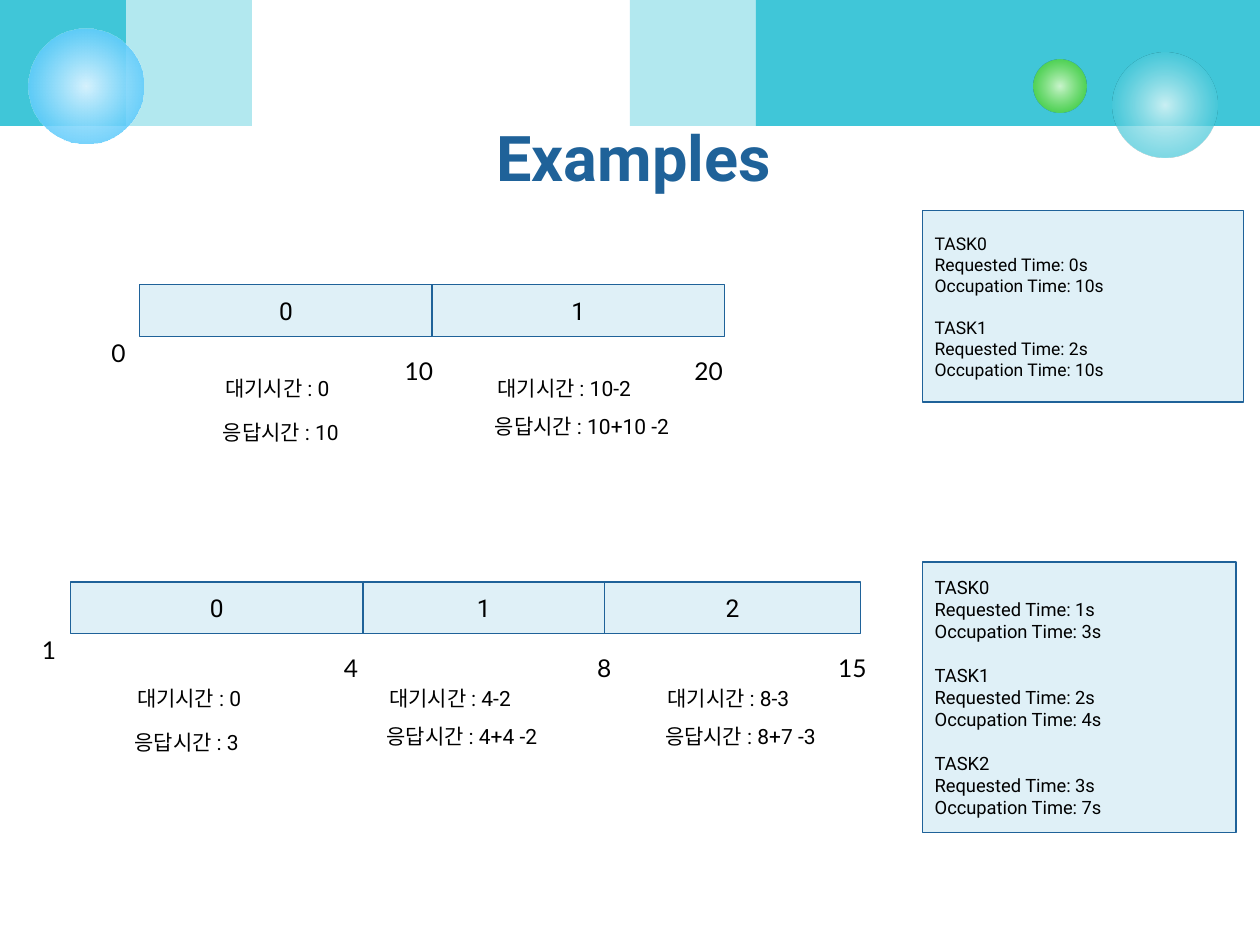
from lxml import etree
from pptx import Presentation
from pptx.dml.color import RGBColor
from pptx.enum.shapes import MSO_SHAPE
from pptx.enum.text import MSO_ANCHOR, MSO_AUTO_SIZE, PP_ALIGN
from pptx.oxml.ns import qn
from pptx.util import Inches, Pt

RECTANGLE, OVAL = MSO_SHAPE.RECTANGLE, MSO_SHAPE.OVAL
LEFT, CENTER = PP_ALIGN.LEFT, PP_ALIGN.CENTER
TOP, MIDDLE = MSO_ANCHOR.TOP, MSO_ANCHOR.MIDDLE
FIT_SHAPE = MSO_AUTO_SIZE.SHAPE_TO_FIT_TEXT

COLORS = {
    "wave": "40C6D8", "title": "1F6299", "line": "1F6299", "box": "DFF0F7", "text": "000000",
    "aqua": "D9F4F7", "lime": "DAFACD", "green": "4CD416", "sky": "D6F2FE", "blue": "33BDFB",
}
COLUMNS, ROWS = 10, 7.5
CURVE_STEPS = 30
BAR_HEIGHT = 0.41
MARK_HEIGHT = 0.28
NOTE_HEIGHT = 0.3

WAVES = [
    (40, (0, 1.19), [
        ((0.33, 1.05), (1.97, 0.31), (3.96, 0.41)),
        ((5.95, 0.5), (7.62, 1.4), (10, 0.84)),
    ]),
    (100, (0, 0.7), [
        ((0.45, 0.55), (1.53, 0.33), (3.41, 0.29)),
        ((5.29, 0.25), (8.2, 1.19), (10, 0.5)),
    ]),
]
BUBBLES = [
    (8.83, 0.42, 0.83, [(0, "aqua", 90), (76, "wave", 70)]),
    (8.2, 0.47, 0.42, [(0, "lime", 90), (76, "green", 70)]),
    (0.23, 0.23, 0.91, [(0, "sky", 100), (100, "blue", 80)]),
]
TIMELINES = [
    {
        "left": 1.11, "top": 2.26, "start": "0", "note_drop": 0.67,
        "tasks": [
            {"width": 2.32, "end": "10", "end_left": 3.04, "note_left": 1.69,
             "notes": [("대기시간 : 0", 1.13), ("응답시간 : 10", 1.22)]},
            {"width": 2.32, "end": "20", "end_left": 5.34, "note_left": 3.85,
             "notes": [("대기시간 : 10-2", 1.37), ("응답시간 : 10+10 -2", 1.73)]},
        ],
    },
    {
        "left": 0.56, "top": 4.62, "start": "1", "note_drop": 0.77,
        "tasks": [
            {"width": 2.32, "end": "4", "end_left": 2.5, "note_left": 0.99,
             "notes": [("대기시간 : 0", 1.13), ("응답시간 : 3", 1.13)]},
            {"width": 1.92, "end": "8", "end_left": 4.51, "note_left": 2.99,
             "notes": [("대기시간 : 4-2", 1.28), ("응답시간 : 4+4 -2", 1.55)]},
            {"width": 2.03, "end": "15", "end_left": 6.48, "note_left": 5.2,
             "notes": [("대기시간 : 8-3", 1.28), ("응답시간 : 8+7 -3", 1.55)]},
        ],
    },
]
TASK_LISTS = [
    ((7.32, 1.67, 2.55, 1.52), 10, [(0, 10), (2, 10)]),
    ((7.32, 4.46, 2.49, 2.15), 10.5, [(1, 3), (2, 4), (3, 7)]),
]

presentation = Presentation()
presentation.slide_width, presentation.slide_height = Inches(10), Inches(7.5)
slide = presentation.slides.add_slide(presentation.slide_layouts[6])
column = presentation.slide_width / COLUMNS
row = presentation.slide_height / ROWS


def grid(left, top, width, height):
    return [round(value) for value in (left * column, top * row, width * column, height * row)]


def color(name):
    return RGBColor.from_string(COLORS[name])


def add_alpha(color_element, percent):
    etree.SubElement(color_element, qn("a:alpha"), val=str(percent * 1000))


def curve_points(start, segments):
    points = [start]
    for first, second, end in segments:
        for step in range(1, CURVE_STEPS + 1):
            t = step / CURVE_STEPS
            weights = ((1 - t) ** 3, 3 * t * (1 - t) ** 2, 3 * t ** 2 * (1 - t), t ** 3)
            controls = (start, first, second, end)
            points.append(tuple(sum(w * p[axis] for w, p in zip(weights, controls)) for axis in (0, 1)))
        start = end
    return points


def add_wave(opacity, start, segments):
    builder = slide.shapes.build_freeform(0, 0, scale=column)
    builder.add_line_segments(curve_points(start, segments) + [(COLUMNS, 0)], close=True)
    wave = builder.convert_to_shape()
    wave.shadow.inherit = False
    wave.line.fill.background()
    wave.fill.solid()
    wave.fill.fore_color.rgb = color("wave")
    add_alpha(next(wave.element.spPr.iter(qn("a:srgbClr"))), opacity)


def add_bubble(left, top, size, stops):
    bubble = slide.shapes.add_shape(OVAL, *grid(left, top, size, size))
    bubble.shadow.inherit = False
    bubble.line.fill.background()
    bubble.fill.background()
    gradient = etree.Element(qn("a:gradFill"), rotWithShape="1")
    stop_list = etree.SubElement(gradient, qn("a:gsLst"))
    for position, name, opacity in stops:
        stop = etree.SubElement(stop_list, qn("a:gs"), pos=str(position * 1000))
        add_alpha(etree.SubElement(stop, qn("a:srgbClr"), val=COLORS[name]), opacity)
    circle = etree.SubElement(gradient, qn("a:path"), path="circle")
    etree.SubElement(circle, qn("a:fillToRect"), l="50000", t="50000", r="50000", b="50000")
    properties = bubble.element.spPr
    properties.replace(properties.find(qn("a:noFill")), gradient)


def write(shape, text, size, font="Roboto", name="text", align=CENTER, anchor=MIDDLE, bold=False):
    frame = shape.text_frame
    frame.text = text
    frame.word_wrap = True
    frame.vertical_anchor = anchor
    for paragraph in frame.paragraphs:
        paragraph.alignment = align
        for run in paragraph.runs:
            run.font.size, run.font.name, run.font.bold = Pt(size), font, bold
            run.font.color.rgb = color(name)
    return frame


def add_text(box, text, size, **style):
    return write(slide.shapes.add_textbox(*grid(*box)), text, size, **style)


def add_box(box, text, size, **style):
    shape = slide.shapes.add_shape(RECTANGLE, *grid(*box))
    shape.shadow.inherit = False
    shape.fill.solid()
    shape.fill.fore_color.rgb = color("box")
    shape.line.color.rgb = color("line")
    shape.line.width = Pt(0.75)
    return pad(write(shape, text, size, **style))


def pad(frame):
    frame.margin_left = frame.margin_right = frame.margin_top = frame.margin_bottom = Inches(0.1)
    return frame


def add_mark(left, top, width, text):
    pad(add_text((left, top, width, MARK_HEIGHT), text, 14, font="Lato"))


def add_timeline(left, top, start, note_drop, tasks):
    add_mark(left - 0.35, top + 0.4, 0.36, start)
    for index, task in enumerate(tasks):
        add_box((left, top, task["width"], BAR_HEIGHT), str(index), 14)
        add_mark(task["end_left"], top + 0.54, 0.57, task["end"])
        note_step = 0.3 if index else 0.35
        for line, (note, width) in enumerate(task["notes"]):
            box = (task["note_left"] - 0.02 * line, top + note_drop + note_step * line, width, NOTE_HEIGHT)
            frame = add_text(box, note, 12, align=LEFT, anchor=TOP)
            frame.word_wrap = False
            frame.auto_size = FIT_SHAPE
        left += task["width"]


def add_task_list(box, size, tasks):
    text = "\n".join(
        f"TASK{index}\nRequested Time: {requested}s\nOccupation Time: {occupation}s"
        for index, (requested, occupation) in enumerate(tasks)
    )
    frame = add_box(box, text, size, align=LEFT)
    for paragraph in frame.paragraphs[3::3]:
        paragraph.space_before = Pt(size * 1.2)


for wave in WAVES:
    add_wave(*wave)
for bubble in BUBBLES:
    add_bubble(*bubble)
add_text((0.53, 0.89, 9, 1.25), "Examples", 36, name="title", anchor=TOP, bold=True)
for timeline in TIMELINES:
    add_timeline(**timeline)
for task_list in TASK_LISTS:
    add_task_list(*task_list)
presentation.save("out.pptx")
